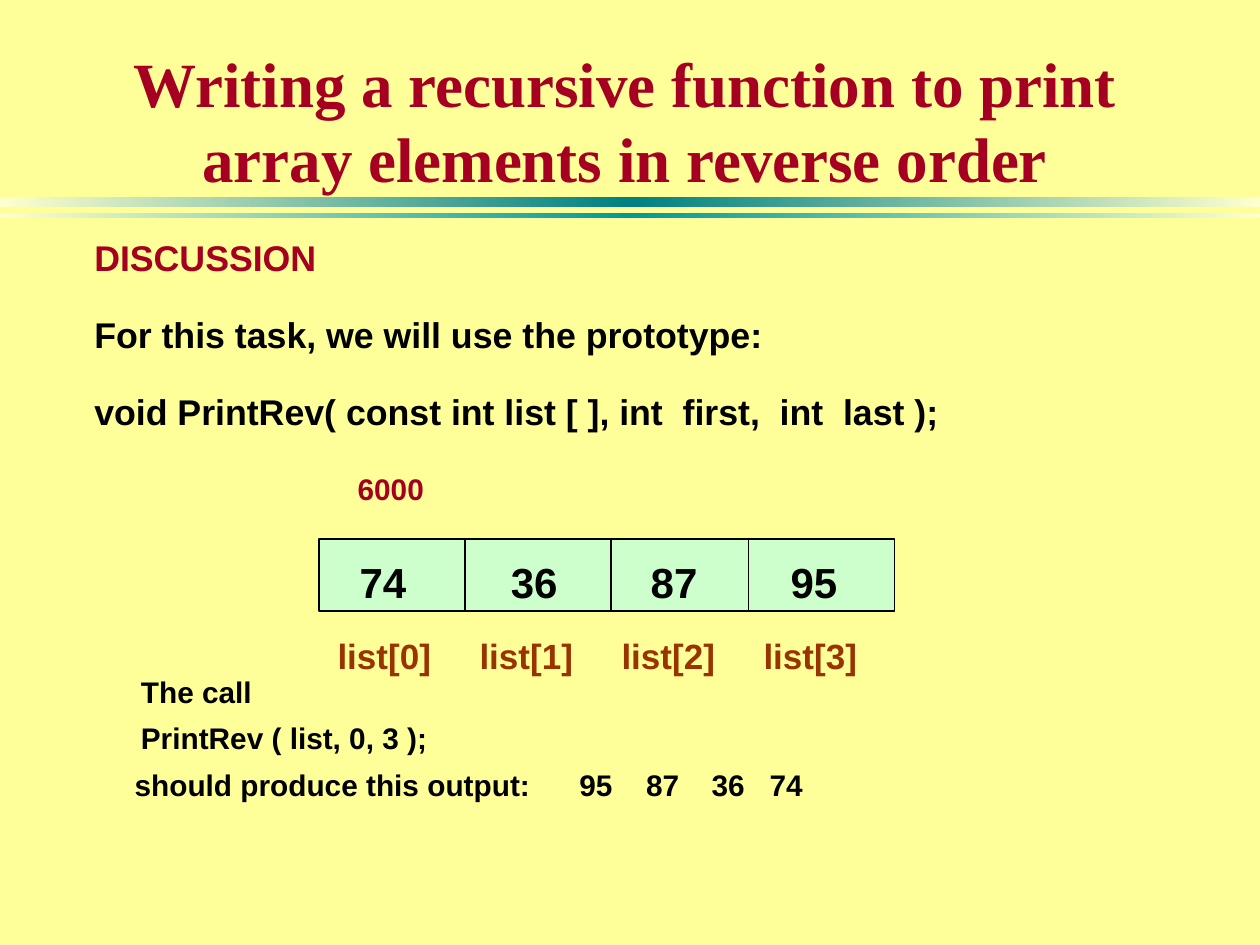
from lxml import etree
from pptx import Presentation
from pptx.dml.color import RGBColor
from pptx.enum.shapes import MSO_CONNECTOR, MSO_SHAPE
from pptx.enum.text import MSO_ANCHOR, PP_ALIGN
from pptx.oxml import parse_xml
from pptx.oxml.ns import nsdecls, qn
from pptx.util import Inches, Pt

YELLOW = RGBColor(0xFF, 0xFF, 0x99)
CREAM = RGBColor(0xFF, 0xFF, 0xCC)
TEAL = RGBColor(0x00, 0x80, 0x80)
LIGHT_TEAL = RGBColor(0x00, 0x99, 0x99)
RED = RGBColor(0xA5, 0x00, 0x21)
BROWN = RGBColor(0x99, 0x33, 0x00)
MINT = RGBColor(0xCC, 0xFF, 0xCC)
BLACK = RGBColor(0x00, 0x00, 0x00)


def add_box(x, y, w, h, wrap=True):
    tf = s.shapes.add_textbox(Inches(x), Inches(y), Inches(w), Inches(h)).text_frame
    tf.word_wrap = wrap
    return tf


def add_line(tf, text, size, color, font="Arial", align=PP_ALIGN.LEFT, before=0, indent=0):
    # The first line uses the paragraph that the frame already has
    p = tf.paragraphs[0] if not tf.paragraphs[0].runs else tf.add_paragraph()
    p.alignment = align
    p.space_before = Pt(before)
    pPr = p._p.get_or_add_pPr()
    pPr.set("marL", str(Inches(indent)))
    r = p.add_run()
    r.text = text
    r.font.name, r.font.size, r.font.bold = font, Pt(size), True
    r.font.color.rgb = color
    return p


prs = Presentation()
prs.slide_width, prs.slide_height = Inches(10), Inches(7.5)
s = prs.slides.add_slide(prs.slide_layouts[6])
s.background.fill.solid()
s.background.fill.fore_color.rgb = YELLOW

# Gradient bars under the title
for y, h, color in [(1.56, 0.08, TEAL), (1.69, 0.04, LIGHT_TEAL)]:
    sp = s.shapes.add_shape(MSO_SHAPE.RECTANGLE, 0, Inches(y), Inches(10), Inches(h))
    sp.shadow.inherit = False
    sp.line.fill.background()
    stops = "".join(
        f'<a:gs pos="{pos}"><a:srgbClr val="{c}"/></a:gs>'
        for pos, c in [(0, CREAM), (50000, color), (100000, CREAM)]
    )
    sp._element.spPr.find(qn("a:prstGeom")).addnext(parse_xml(
        f'<a:gradFill {nsdecls("a")}><a:gsLst>{stops}</a:gsLst>'
        '<a:lin ang="10800000" scaled="0"/></a:gradFill>'
    ))

# Title
tf = add_box(0.67, 0.35, 8.58, 1.25)
tf.vertical_anchor = MSO_ANCHOR.BOTTOM
add_line(tf, "Writing a recursive function to print array elements in reverse order",
         36, RED, "Times New Roman", PP_ALIGN.CENTER)

# Discussion and array address
tf = add_box(0.65, 1.82, 8.33, 2.2)
add_line(tf, "DISCUSSION", 20.4, RED)
add_line(tf, "For this task, we will use the prototype:", 20.4, BLACK, before=19.7)
add_line(tf, "void PrintRev( const int list [ ], int  first,  int  last );",
         20.4, BLACK, before=19.7)
add_line(tf, "6000", 17, RED, before=21.5, indent=2.09)

# Array body and cell dividers
sp = s.shapes.add_shape(MSO_SHAPE.RECTANGLE, Inches(2.53), Inches(4.28), Inches(4.57), Inches(0.57))
sp.shadow.inherit = False
sp.fill.solid()
sp.fill.fore_color.rgb = MINT
sp.line.color.rgb = BLACK
sp.line.width = Pt(1)
for x in (3.69, 4.85, 5.94):
    divider = s.shapes.add_connector(MSO_CONNECTOR.STRAIGHT, Inches(x), Inches(4.27),
                                     Inches(x), Inches(4.85))
    divider.line.color.rgb = BLACK
    divider.line.width = Pt(1)
    etree.SubElement(divider._element.spPr, qn("a:effectLst"))

# Cell values and index labels
for i, (value, center) in enumerate([("74", 3.04), ("36", 4.24), ("87", 5.35), ("95", 6.46)]):
    tf = add_box(center - 0.5, 4.37, 1, 0.5)
    add_line(tf, value, 24, BLACK, align=PP_ALIGN.CENTER)
    tf = add_box(2.5 + 1.127 * i, 4.99, 1.1, 0.43)
    add_line(tf, f"list[{i}]", 20, BROWN, align=PP_ALIGN.CENTER)

# Call and its output, with a tab stop for each number
tf = add_box(0.97, 5.3, 8, 1.15)
add_line(tf, "The call", 17, BLACK, indent=0.05)
add_line(tf, "PrintRev ( list, 0, 3 );", 17, BLACK, before=6, indent=0.05)
p = add_line(tf, "should produce this output:\t95\t87\t36\t74", 17, BLACK, before=6)
tabs = etree.SubElement(p._p.get_or_add_pPr(), qn("a:tabLst"))
for x in (3.53, 4.06, 4.58, 5.04):
    etree.SubElement(tabs, qn("a:tab"), pos=str(Inches(x)), algn="l")

prs.save("out.pptx")
